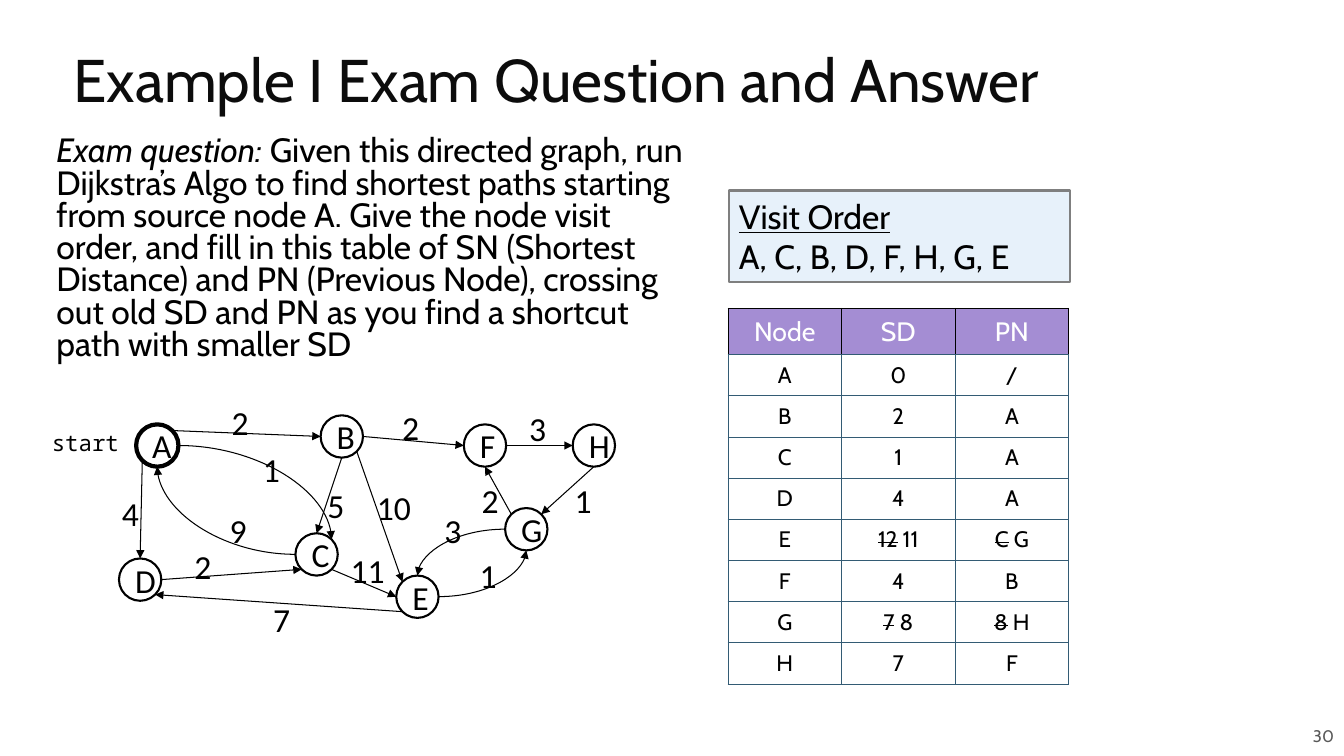
from lxml.etree import SubElement as Sub
from pptx import Presentation
from pptx.dml.color import RGBColor as Rgb
from pptx.enum.shapes import MSO_CONNECTOR as Link, MSO_SHAPE as Shape
from pptx.enum.text import MSO_ANCHOR as Anchor, MSO_AUTO_SIZE as Fit, PP_ALIGN as Align
from pptx.oxml.ns import qn
from pptx.util import Inches, Pt

HUES = {"ink": "000000", "title": "0C0C0C", "gray": "595959", "white": "FFFFFF",
        "box": "E7F1FA", "edge": "7F7F7F", "head": "A48DD3", "grid": "335B74"}
SANS, GRAPH, MONO = "Cabin", "Calibri", "Noto Sans Mono"
SIZE = 0.42  # node diameter

NODES = {"A": (1.35, 4.21), "B": (3.18, 4.12), "D": (1.18, 5.54), "C": (2.93, 5.29),
         "F": (4.6, 4.21), "H": (5.68, 4.21), "E": (3.93, 5.71), "G": (5.01, 5.04)}

# From node and side, to node and side
CURVES = ["A e C ne", "C w A s", "G w E n", "E e G s"]
LINES = ["A sw D n", "D e C sw", "A ne B w", "B e F w", "F e H w", "G nw F s",
         "H s G ne", "B se E nw", "B s C n", "C se E w", "E sw D se"]

COSTS = [("2", 2.2, 3.94), ("2", 3.89, 3.99), ("3", 5.15, 4), ("1", 5.6, 4.71),
         ("10", 3.64, 4.78), ("2", 4.68, 4.71), ("3", 4.31, 5.01), ("1", 4.66, 5.46),
         ("11", 3.38, 5.41), ("7", 2.61, 5.89), ("1", 2.51, 4.4), ("9", 2.18, 5.01),
         ("2", 1.83, 5.37), ("4", 1.11, 4.84), ("5", 3.15, 4.76)]

# Old values are crossed out: (old, new)
ROWS = [("Node", "SD", "PN"), ("A", "0", "/"), ("B", "2", "A"), ("C", "1", "A"),
        ("D", "4", "A"), ("E", ("12", " 11"), ("C", " G")), ("F", "4", "B"),
        ("G", ("7", " 8"), ("8", " H")), ("H", "7", "F")]


def rgb(hue):
    return Rgb.from_string(HUES[hue])


def site(node, side):
    """Point on a node's circle, by compass side."""
    x, y = NODES[node]
    reach = SIZE / 2 * (0.707 if len(side) == 2 else 1)
    dx = ("e" in side) - ("w" in side)
    dy = ("s" in side) - ("n" in side)
    return Inches(x + SIZE / 2 + dx * reach), Inches(y + SIZE / 2 + dy * reach)


class Deck:
    def __init__(self):
        self.prs = Presentation()
        self.prs.slide_width, self.prs.slide_height = Inches(13.33), Inches(7.5)
        self.slide = self.prs.slides.add_slide(self.prs.slide_layouts[5])
        self.shapes = self.slide.shapes

    def style(self, par, size, font=SANS, hue="ink", align=Align.LEFT):
        par.alignment = align
        par.font.size, par.font.name = Pt(size), font
        par.font.color.rgb = rgb(hue)

    def frame(self, shape, pads=(0.1, 0.05), anchor=Anchor.TOP, wrap=True):
        tf = shape.text_frame
        tf.auto_size, tf.word_wrap, tf.vertical_anchor = Fit.NONE, wrap, anchor
        tf.margin_left = tf.margin_right = Inches(pads[0])
        tf.margin_top = tf.margin_bottom = Inches(pads[1])
        return tf

    def title(self, text, *box):
        shape = self.shapes.title
        shape.left, shape.top, shape.width, shape.height = map(Inches, box)
        tf = self.frame(shape, anchor=Anchor.MIDDLE)
        tf.text = text
        par = tf.paragraphs[0]
        par.line_spacing = 0.8
        self.style(par, 43, hue="title")

    def text(self, text, box, size, pads=(0.1, 0.05), anchor=Anchor.TOP, wrap=True, **look):
        tf = self.frame(self.shapes.add_textbox(*map(Inches, box)), pads, anchor, wrap)
        par = tf.paragraphs[0]
        par.text = text
        self.style(par, size, **look)
        return par

    def shape(self, kind, box, fill, line, width):
        shape = self.shapes.add_shape(kind, *map(Inches, box))
        shape.shadow.inherit = False
        if fill:
            shape.fill.solid()
            shape.fill.fore_color.rgb = rgb(fill)
        else:
            shape.fill.background()
        shape.line.color.rgb, shape.line.width = rgb(line), Pt(width)
        return shape

    def node(self, name, x, y, start):
        fill, width = ("white", 3) if start else (None, 1.5)
        shape = self.shape(Shape.OVAL, (x, y, SIZE, SIZE), fill, "ink", width)
        tf = self.frame(shape, anchor=Anchor.MIDDLE)
        tf.text = name
        self.style(tf.paragraphs[0], 24, GRAPH, align=Align.CENTER)

    def arrow(self, route, kind):
        a, out, b, into = route.split()
        line = self.shapes.add_connector(kind, *site(a, out), *site(b, into))
        line.line.color.rgb, line.line.width = rgb("ink"), Pt(0.75)
        props = line._element.spPr
        if kind == Link.CURVE:
            props.find(qn("a:prstGeom")).set("prst", "curvedConnector2")
        Sub(props.find(qn("a:ln")), qn("a:tailEnd"), type="triangle")
        Sub(props, qn("a:effectLst"))

    def border(self, cell, hues):
        props = cell._tc.get_or_add_tcPr()
        for spot, (side, hue) in enumerate(zip("LRTB", hues)):
            line = props.makeelement(qn("a:ln" + side), {"w": str(Pt(0.75))})
            Sub(Sub(line, qn("a:solidFill")), qn("a:srgbClr"), val=HUES[hue])
            props.insert(spot, line)

    def cell(self, cell, value, head):
        cell.vertical_anchor = Anchor.MIDDLE
        cell.margin_left = cell.margin_right = Inches(0.07)
        cell.margin_top = cell.margin_bottom = Inches(0.07)
        par = cell.text_frame.paragraphs[0]
        if isinstance(value, tuple):
            old, new = par.add_run(), par.add_run()
            old.text, new.text = value
            old.font._element.set("strike", "sngStrike")
        else:
            par.text = value
        self.style(par, 19 if head else 16, hue="white" if head else "ink", align=Align.CENTER)
        if head:
            cell.fill.solid()
            cell.fill.fore_color.rgb = rgb("head")
        else:
            cell.fill.background()
        self.border(cell, ["ink"] * 3 + ["grid"] if head else ["grid"] * 4)

    def table(self, rows, *box):
        grid = self.shapes.add_table(len(rows), len(rows[0]), *map(Inches, box)).table
        grid.first_row = grid.horz_banding = False
        for r, row in enumerate(rows):
            grid.rows[r].height = Inches(0.4 if r else 0.44)
            for c, value in enumerate(row):
                self.cell(grid.cell(r, c), value, r == 0)


def main():
    deck = Deck()

    # Page number, question and title
    deck.text("30", (8.65, 7.1, 4.68, 0.4), 12, (0.1, 0.1), Anchor.MIDDLE,
              hue="gray", align=Align.RIGHT)
    ask = deck.text("", (0.51, 1.31, 6.42, 2.44), 24, (0.05, 0.05))
    ask.line_spacing = 0.8
    lead = ask.add_run()
    lead.text, lead.font.italic = "Exam question: ", True
    ask.add_run().text = (
        "Given this directed graph, run Dijkstra’s Algo to find shortest paths starting "
        "from source node A. Give the node visit order, and fill in this table of SN "
        "(Shortest Distance) and PN (Previous Node), crossing out old SD and PN as you "
        "find a shortcut path with smaller SD")
    deck.title("Example I Exam Question and Answer", 0.63, 0.29, 12.23, 1.11)

    # Graph
    for name, (x, y) in NODES.items():
        deck.node(name, x, y, name == "A")
    for route in CURVES:
        deck.arrow(route, Link.CURVE)
    for route in LINES:
        deck.arrow(route, Link.STRAIGHT)
    for cost, x, y in COSTS:
        deck.text(cost, (x, y, 0.2 + 0.17 * len(cost), 0.5), 24, wrap=False, font=GRAPH)
    deck.text("start", (0.25, 4.13, 1.06, 0.52), 16, (0.13, 0.13),
              font=MONO, align=Align.RIGHT)

    # Visit order
    panel = deck.shape(Shape.RECTANGLE, (7.23, 1.89, 3.38, 0.91), "box", "edge", 1.5)
    tf = deck.frame(panel)
    tf.text = "Visit Order\nA, C, B, D, F, H, G, E"
    for par in tf.paragraphs:
        deck.style(par, 24)
    tf.paragraphs[0].font.underline = True

    # Distance table
    deck.table(ROWS, 7.22, 3.06, 3.38, 3.65)

    deck.prs.save("out.pptx")


if __name__ == "__main__":
    main()
